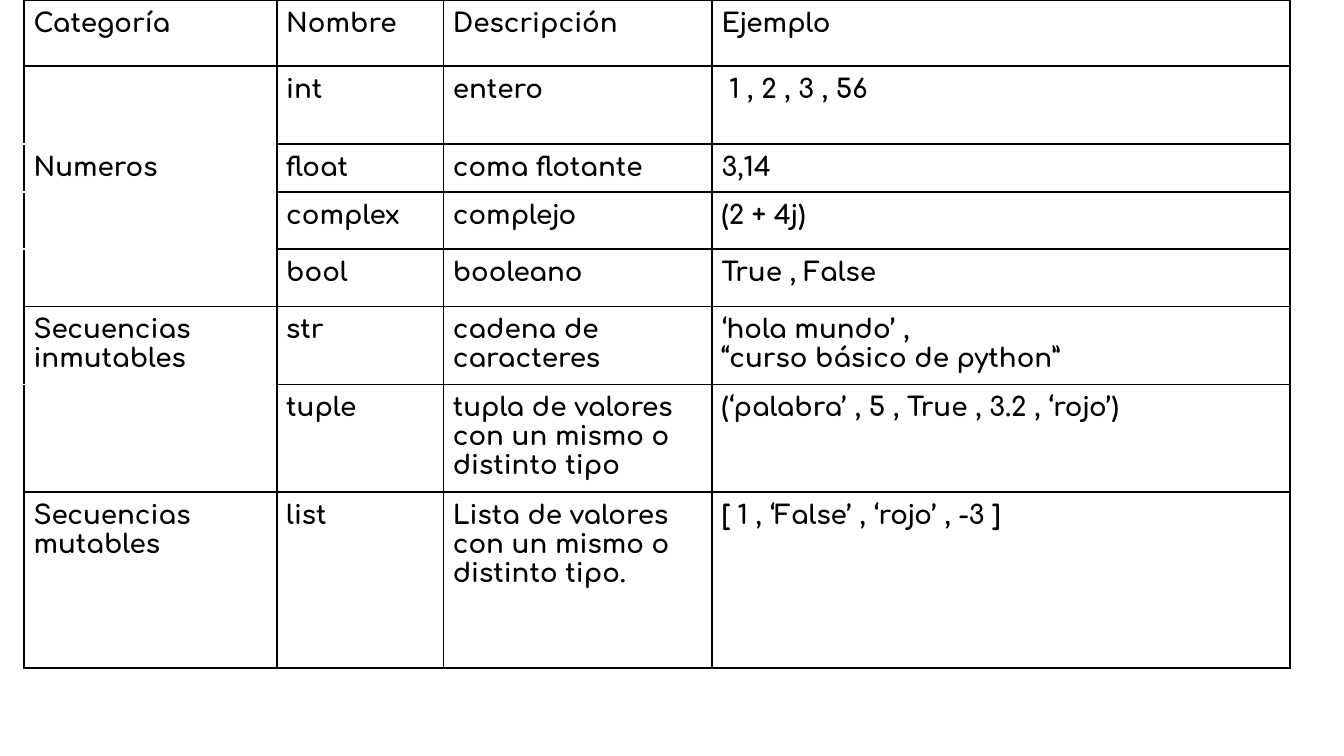
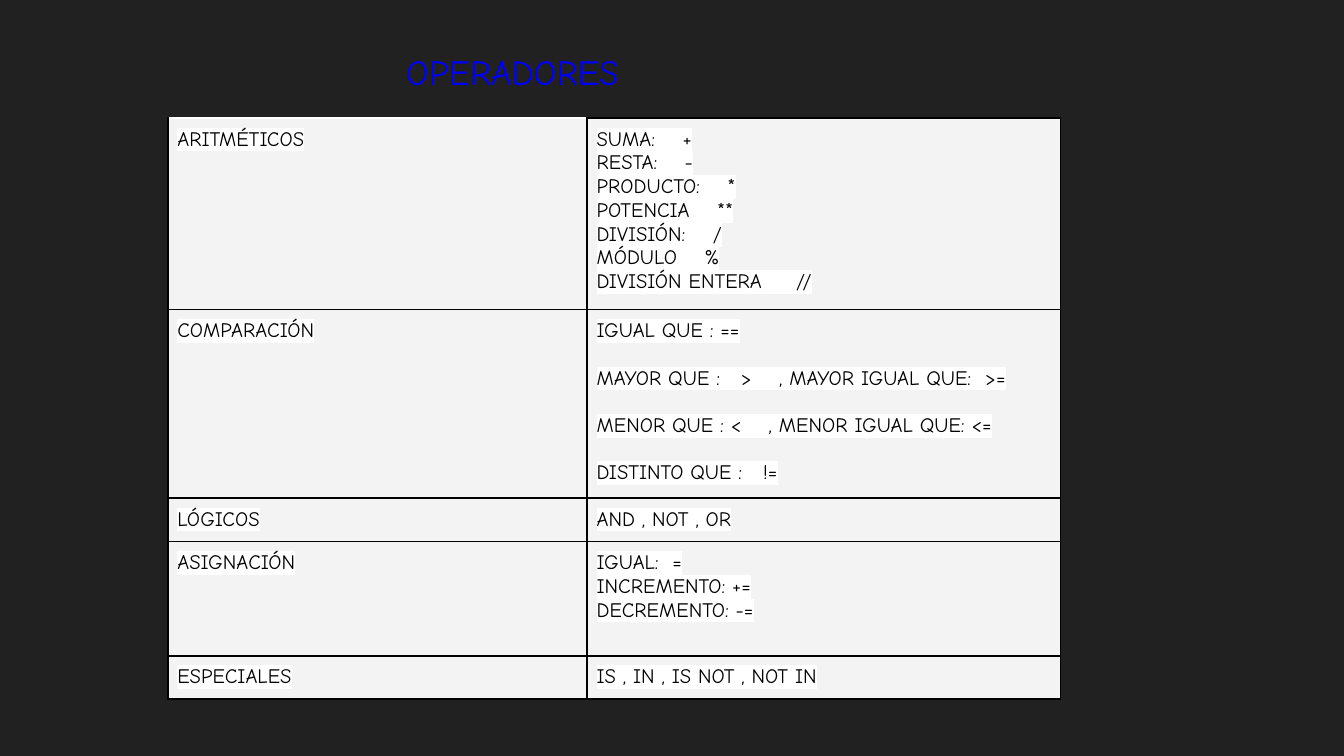
from lxml import etree
from pptx import Presentation
from pptx import util as u
from pptx.dml.color import RGBColor
from pptx.oxml.ns import qn

COLORS = {"white": "FFFFFF", "black": "000000", "dark": "212121",
          "panel": "F3F3F3", "title": "0000FF"}
WIDTH, HEIGHT = u.Pt(720), u.Pt(405)
GRID_COLS, GRID_ROWS = 1000, 562.5
TABLE_FRAME = 328
CELL_INSET, EMPTY_INSET = u.Inches(0.07), u.Inches(0.06)

TYPES = [
    ("Categoría", "Nombre", "Descripción", "Ejemplo"),
    ("", "int", "entero", " 1 , 2 , 3 , 56"),
    ("Numeros", "float", "coma flotante", "3,14"),
    ("", "complex", "complejo", "(2 + 4j)"),
    ("", "bool", "booleano", "True , False"),
    ("Secuencias inmutables", "str", "cadena de caracteres",
     "‘hola mundo’ ,\n“curso básico de python”"),
    ("", "tuple", "tupla de valores con un mismo o distinto tipo",
     "(‘palabra’ , 5 , True , 3.2 , ‘rojo’)"),
    ("Secuencias mutables", "list", "Lista de valores con un mismo o distinto tipo.",
     "[ 1 , ‘False’ , ‘rojo’ , -3 ]"),
]
OPERATORS = [
    ("ARITMÉTICOS", "SUMA:    +\nRESTA:    -\nPRODUCTO:    *\nPOTENCIA    **\n"
                    "DIVISIÓN:    /\nMÓDULO    %\nDIVISIÓN ENTERA     //"),
    ("COMPARACIÓN", "IGUAL QUE : ==\nMAYOR QUE :   >    , MAYOR IGUAL QUE:  >=\n"
                    "MENOR QUE : <    , MENOR IGUAL QUE: <=\nDISTINTO QUE :   !="),
    ("LÓGICOS", "AND , NOT , OR"),
    ("ASIGNACIÓN", "IGUAL:  =\nINCREMENTO: +=\nDECREMENTO: -="),
    ("ESPECIALES", "IS , IN , IS NOT , NOT IN"),
]


def grid_x(columns):
    return round(WIDTH * columns / GRID_COLS)


def grid_y(rows):
    return round(HEIGHT * rows / GRID_ROWS)


def rgb(color):
    return RGBColor.from_string(COLORS[color])


def style_text(frame, font, size, color="black", bold=False, highlight=None):
    for paragraph in frame.paragraphs:
        for run in paragraph.runs:
            run.font.size = u.Pt(size)
            run.font.bold = bold
            run.font.color.rgb = rgb(color)
            run.font.name = font
            if highlight:
                marker = etree.Element(qn("a:highlight"))
                etree.SubElement(marker, qn("a:srgbClr"), val=COLORS[highlight])
                run.font._element.find(qn("a:solidFill")).addnext(marker)


def set_borders(cell, top, bottom):
    properties = cell._tc.get_or_add_tcPr()
    sides = {"lnL": "black", "lnR": "black", "lnT": top, "lnB": bottom}
    for position, (side, color) in enumerate(sides.items()):
        line = etree.Element(qn(f"a:{side}"), w=str(u.Pt(1)))
        fill = etree.SubElement(line, qn("a:solidFill"))
        etree.SubElement(fill, qn("a:srgbClr"), val=COLORS[color])
        properties.insert(position, line)


def add_grid_table(slide, left, top, columns, rows, contents, font, size,
                   bold=False, fill=None, open_below=()):
    """Rows in open_below have a white lower edge in the first column."""
    holder = slide.shapes.add_table(
        len(rows), len(columns), grid_x(left), grid_y(top),
        grid_x(TABLE_FRAME), grid_y(TABLE_FRAME))
    table = holder.table
    table.first_row = table.horz_banding = False
    for column, width in zip(table.columns, columns):
        column.width = grid_x(width)
    for row, height in zip(table.rows, rows):
        row.height = grid_y(height)
    # Rows grow with their text beyond this frame
    holder.width, holder.height = grid_x(TABLE_FRAME), grid_y(TABLE_FRAME)

    def edge(row, column):
        return "white" if column == 0 and row in open_below else "black"

    for r, row_texts in enumerate(contents):
        for c, content in enumerate(row_texts):
            cell = table.cell(r, c)
            if fill:
                cell.fill.solid()
                cell.fill.fore_color.rgb = rgb(fill)
            else:
                cell.fill.background()
            set_borders(cell, edge(r - 1, c), edge(r, c))
            inset = CELL_INSET if content else EMPTY_INSET
            cell.margin_left = cell.margin_right = inset
            cell.margin_top = cell.margin_bottom = inset
            if content:
                cell.text_frame.text = content
                style_text(cell.text_frame, font, size, bold=bold, highlight="white")
    return table


def add_title(slide, left, top, width, height, title):
    box = slide.shapes.add_textbox(grid_x(left), grid_y(top), grid_x(width), grid_y(height))
    frame = box.text_frame
    frame.word_wrap = True
    frame.margin_left = frame.margin_right = u.Inches(0.1)
    frame.margin_top = frame.margin_bottom = u.Inches(0.1)
    frame.text = title
    style_text(frame, "Comic Neue", 19, "title")


def new_slide(prs, background):
    slide = prs.slides.add_slide(prs.slide_layouts[6])
    slide.background.fill.solid()
    slide.background.fill.fore_color.rgb = rgb(background)
    return slide


# Data types, grouped by category
def types_slide(prs):
    slide = new_slide(prs, "white")
    add_grid_table(slide, 18, 0, [188, 124, 200, 430],
                   [49, 58, 36, 36, 36, 58, 80, 131], TYPES,
                   "Comfortaa", 14, bold=True, open_below={1, 2, 3, 5})


# Operators under a title
def operators_slide(prs):
    slide = new_slide(prs, "dark")
    add_title(slide, 292, 27, 238, 49, "OPERADORES")
    operators = add_grid_table(slide, 125, 88, [312, 352], [1, 1, 1, 85, 1],
                               OPERATORS, "Comic Neue", 11, fill="panel", open_below={-1})
    # Comparisons stand one line apart
    for comparison in operators.cell(1, 1).text_frame.paragraphs[1:]:
        comparison.space_before = u.Pt(12.7)


def main():
    prs = Presentation()
    prs.slide_width, prs.slide_height = WIDTH, HEIGHT
    types_slide(prs)
    operators_slide(prs)
    prs.save("out.pptx")


if __name__ == "__main__":
    main()
